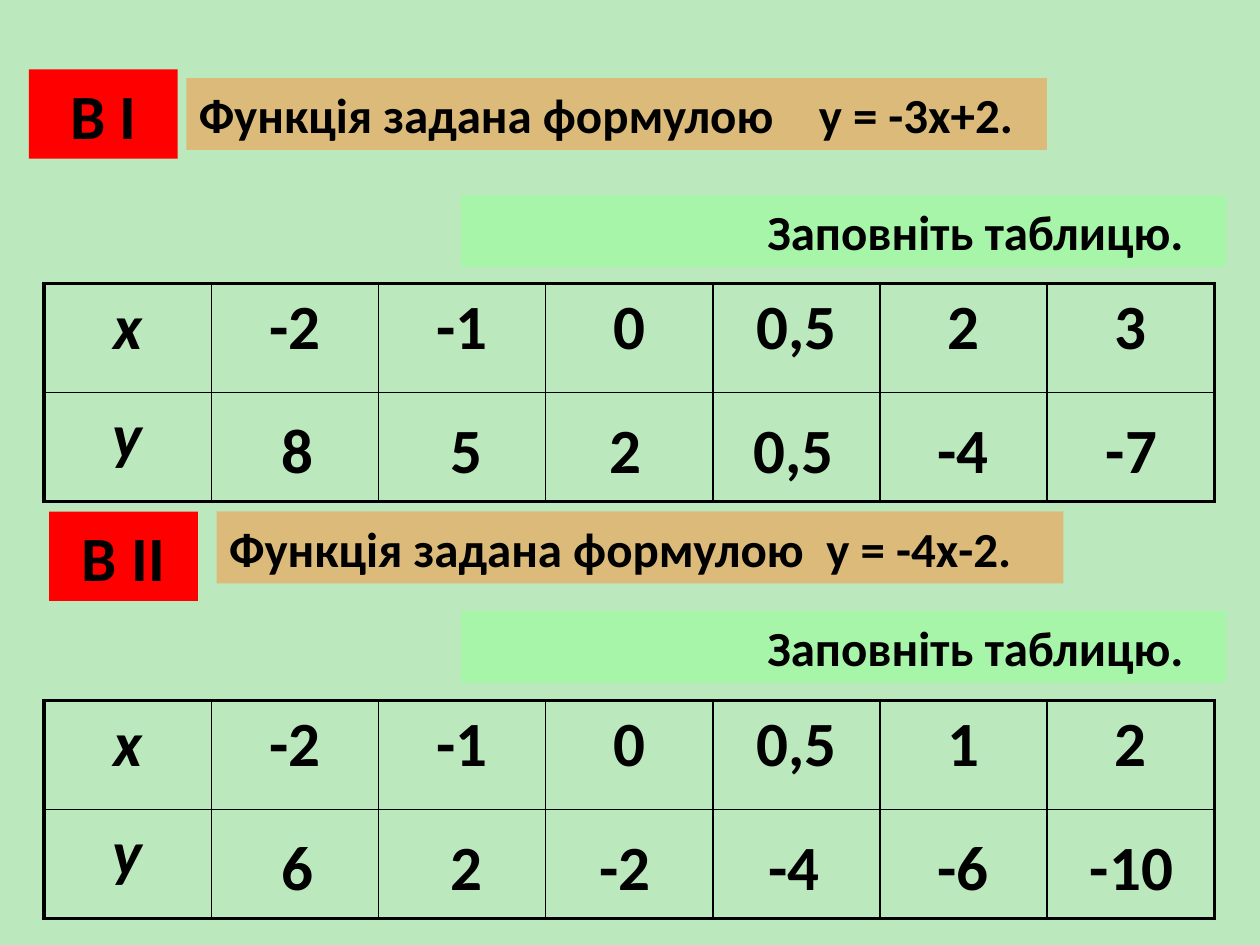
"""Build a slide with two linear-function tasks and their value tables."""
from lxml import etree
from pptx import Presentation
from pptx import util as u
from pptx.dml.color import RGBColor
from pptx.enum import shapes, text
from pptx.oxml.ns import qn

BACKGROUND = RGBColor(0xBB, 0xE9, 0xBD)
ORANGE = RGBColor(0xF7, 0x96, 0x46)
GREEN = RGBColor(0x99, 0xFF, 0x99)
RED = RGBColor(0xFF, 0x00, 0x00)
BLACK = RGBColor(0x00, 0x00, 0x00)

THIN, THICK = u.Pt(1), u.Pt(2.25)
BOX_W, BOX_H, BAND_H = 1.18, 0.71, 0.57
VALUE_LEFTS = [1.77, 3.11, 4.37, 5.71, 7.05, 8.39]


def write(tf, content, size, align=text.PP_ALIGN.LEFT, italic=False, tab=None):
    p = tf.paragraphs[0]
    p.alignment = align
    if tab:
        tabs = etree.SubElement(p._p.get_or_add_pPr(), qn("a:tabLst"))
        etree.SubElement(tabs, qn("a:tab"), pos=str(u.Inches(tab)), algn="l")
    r = p.add_run()
    r.text = content
    font = {"name": "Calibri", "size": u.Pt(size), "bold": True, "italic": italic}
    for name, value in font.items():
        setattr(r.font, name, value)
    r.font.color.rgb = BLACK


def add_box(left, top, width, height, color, alpha=None):
    sp = s.shapes.add_shape(shapes.MSO_SHAPE.RECTANGLE, u.Inches(left),
                            u.Inches(top), u.Inches(width), u.Inches(height))
    sp.shadow.inherit = False
    sp.fill.solid()
    sp.fill.fore_color.rgb = color
    sp.line.fill.background()
    if alpha:
        clr = sp._element.spPr.find(qn("a:solidFill"))[0]
        etree.SubElement(clr, qn("a:alpha"), val=str(alpha * 1000))
    sp.text_frame.word_wrap = True
    return sp.text_frame


prs = Presentation()
prs.slide_width, prs.slide_height = u.Inches(10), u.Inches(7.5)
s = prs.slides.add_slide(prs.slide_layouts[6])
s.background.fill.solid()
s.background.fill.fore_color.rgb = BACKGROUND

tasks = [
    {"label": "В І", "label_at": (0.23, 0.55),
     "formula": "Функція задана формулою\tу = -3х+2.",
     "formula_at": (1.48, 0.62, 6.83), "tab": 4.92,
     "prompt_top": 1.55, "table_top": 2.25, "value_top": 3.2,
     "x": ["-2", "-1", "0", "0,5", "2", "3"],
     "y": ["8", "5", "2", "0,5", "-4", "-7"]},
    {"label": "В ІІ", "label_at": (0.39, 4.06),
     "formula": "Функція задана формулою\tу = -4х-2.",
     "formula_at": (1.72, 4.06, 6.72), "tab": 4.74,
     "prompt_top": 4.85, "table_top": 5.56, "value_top": 6.51,
     "x": ["-2", "-1", "0", "0,5", "1", "2"],
     "y": ["6", "2", "-2", "-4", "-6", "-10"]},
]

for task in tasks:
    tf = add_box(*task["formula_at"], BAND_H, ORANGE, 56)
    write(tf, task["formula"], 28, tab=task["tab"])

    tf = add_box(3.66, task["prompt_top"], 6.07, BAND_H, GREEN, 56)
    tf.margin_left = u.Inches(2.43)
    write(tf, "Заповніть таблицю.", 28)

    tbl = s.shapes.add_table(2, 7, u.Inches(0.35), u.Inches(task["table_top"]),
                             u.Inches(9.29), u.Inches(1.73)).table
    tbl.first_row = tbl.horz_banding = False
    rows = [["x"] + task["x"], ["y"]]
    for i in range(2):
        for j in range(7):
            cell = tbl.cell(i, j)
            borders = {"L": j == 0, "R": j == 6, "T": i == 0, "B": i == 1}
            for side, outer in borders.items():
                ln = etree.SubElement(cell._tc.get_or_add_tcPr(), qn("a:ln" + side),
                                      w=str(THICK if outer else THIN))
                fill = etree.SubElement(ln, qn("a:solidFill"))
                etree.SubElement(fill, qn("a:srgbClr"), val=str(BLACK))
            cell.fill.background()
            if j < len(rows[i]):
                write(cell.text_frame, rows[i][j], 36,
                      text.PP_ALIGN.CENTER, italic=j == 0)

    for left, value in zip(VALUE_LEFTS, task["y"]):
        tf = s.shapes.add_textbox(u.Inches(left), u.Inches(task["value_top"]),
                                  u.Inches(BOX_W), u.Inches(BOX_H)).text_frame
        tf.word_wrap = True
        tf.vertical_anchor = text.MSO_ANCHOR.MIDDLE
        write(tf, value, 36, text.PP_ALIGN.CENTER)

    tf = add_box(*task["label_at"], BOX_W, BOX_H, RED)
    tf.vertical_anchor = text.MSO_ANCHOR.MIDDLE
    write(tf, task["label"], 36, text.PP_ALIGN.CENTER)

prs.save("out.pptx")
